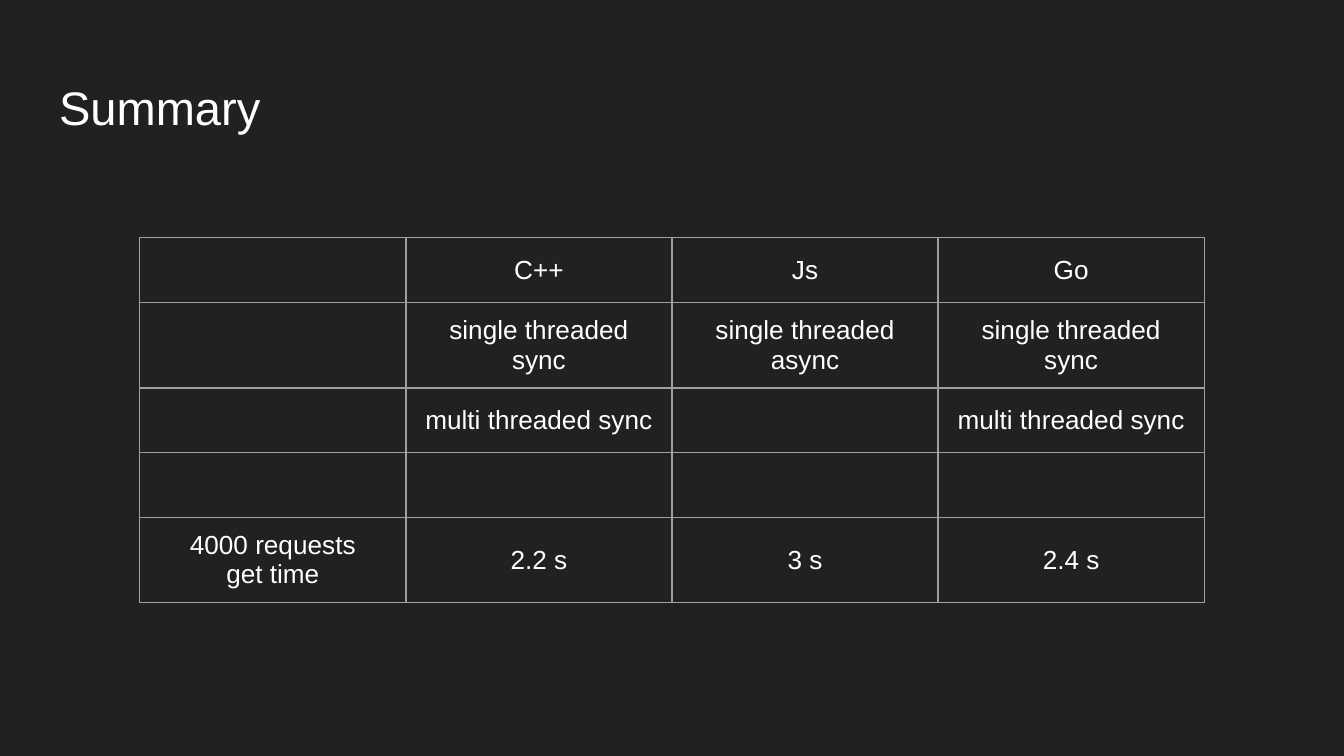
from copy import deepcopy

from pptx import Presentation
from pptx.dml.color import RGBColor
from pptx.enum.text import MSO_ANCHOR as Anchor, PP_ALIGN as Align
from pptx.oxml import parse_xml
from pptx.oxml.ns import nsdecls, qn
from pptx.util import Inches, Pt

BACKGROUND, WHITE, GRID = "212121", "FFFFFF", "9E9E9E"
FONT = "Arial"
RESULTS = [
    ["", "C++", "Js", "Go"],
    ["", "single threaded sync", "single threaded async", "single threaded sync"],
    ["", "multi threaded sync", "", "multi threaded sync"],
    ["", "", "", ""],
    ["4000 requests\nget time", "2.2 s", "3 s", "2.4 s"],
]


def rgb(code):
    return RGBColor.from_string(code)


def write(frame, text, size=14, color=WHITE, align=Align.LEFT):
    paragraph = frame.paragraphs[0]
    paragraph.text = text.replace("\n", "\v")
    paragraph.alignment = align
    for run in paragraph.runs:
        run.font.name = FONT
        run.font.size = Pt(size)
        run.font.bold = False
        run.font.color.rgb = rgb(color)
    for line_break in paragraph._p.findall(qn("a:br")):
        line_break.append(deepcopy(paragraph.runs[0]._r.rPr))
    if not text:
        paragraph._p.append(parse_xml(
            f'<a:endParaRPr {nsdecls("a")} sz="1800"><a:latin typeface="{FONT}"/></a:endParaRPr>'))


def set_margins(box):
    box.margin_left = box.margin_right = Inches(0.1)
    box.margin_top = box.margin_bottom = Inches(0.1)
    box.vertical_anchor = Anchor.MIDDLE


def draw_borders(cell, color, width):
    properties = cell._tc.get_or_add_tcPr()
    for position, side in enumerate(("lnL", "lnR", "lnT", "lnB")):
        properties.insert(position, parse_xml(
            f'<a:{side} {nsdecls("a")} w="{Pt(width)}"><a:solidFill>'
            f'<a:srgbClr val="{color}"/></a:solidFill></a:{side}>'))


class SummaryDeck:
    """Holds the dark style and the current slide."""

    def __init__(self):
        self.deck = Presentation()
        self.deck.slide_width = Inches(10)
        self.deck.slide_height = Inches(10 * 9 / 16)
        self.slide = self.deck.slides.add_slide(self.deck.slide_layouts[5])
        backdrop = self.slide.background.fill
        backdrop.solid()
        backdrop.fore_color.rgb = rgb(BACKGROUND)

    def title(self, text):
        heading = self.slide.shapes.title
        heading.left, heading.top = Inches(0.34), Inches(0.48)
        heading.width, heading.height = Inches(9.32), Inches(0.63)
        set_margins(heading.text_frame)
        write(heading.text_frame, text, size=25.2)

    def table(self, rows, left, top, column_width, row_height):
        count = len(rows[0])
        grid = self.slide.shapes.add_table(
            len(rows), count, Inches(left), Inches(top),
            Inches(column_width * count), Inches(row_height * len(rows))).table
        grid.first_row = grid.horz_banding = False
        for column in grid.columns:
            column.width = Inches(column_width)
        for row, texts in zip(grid.rows, rows):
            row.height = Inches(row_height)
            for cell, text in zip(row.cells, texts):
                cell.fill.background()
                set_margins(cell)
                draw_borders(cell, GRID, 0.75)
                write(cell.text_frame, text, align=Align.CENTER)

    def save(self):
        self.deck.save("out.pptx")


def main():
    summary = SummaryDeck()
    summary.title("Summary")
    summary.table(RESULTS, left=1.04, top=1.77, column_width=1.98, row_height=0.42)
    summary.save()


if __name__ == "__main__":
    main()
